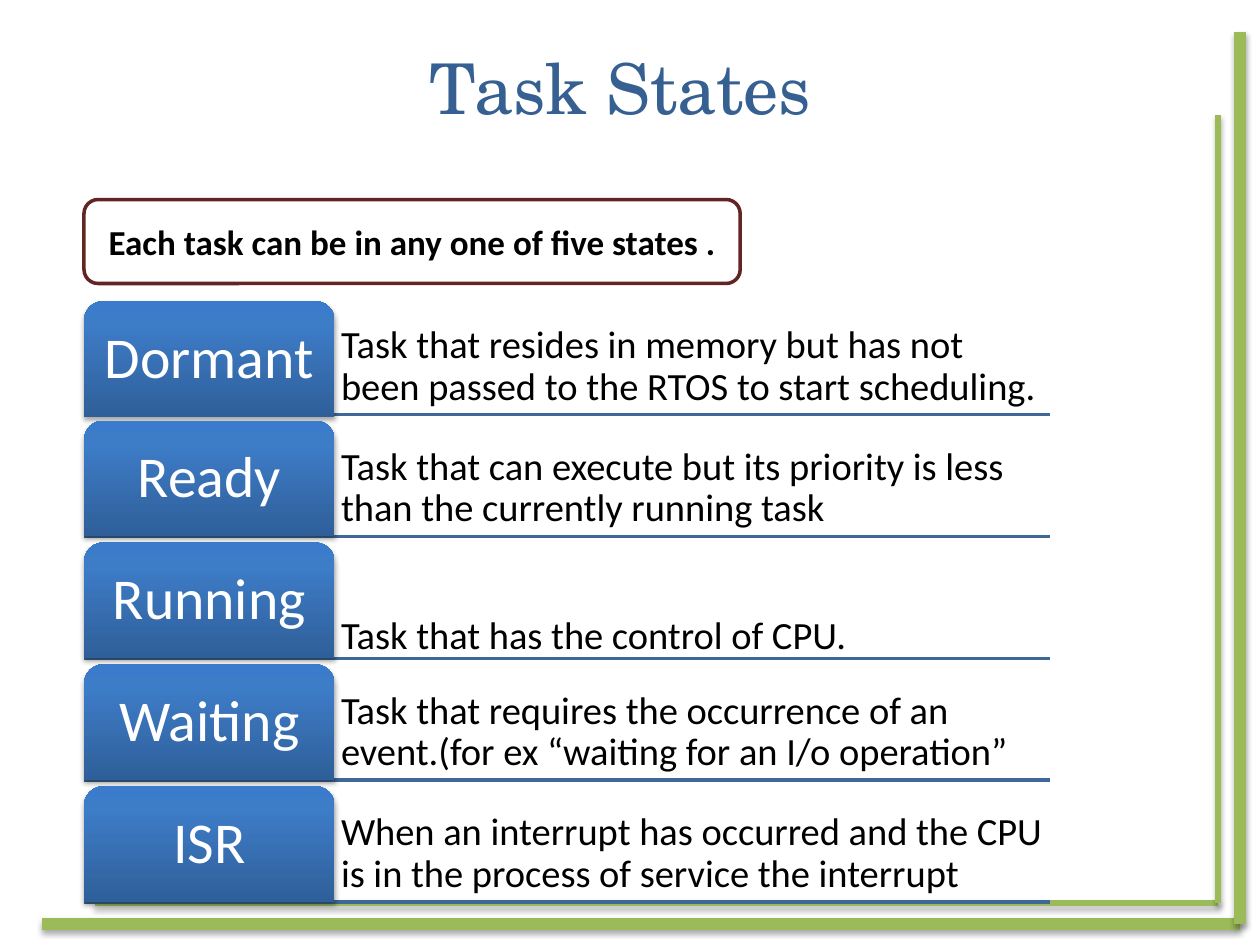
from dataclasses import dataclass

from lxml import etree
from pptx import Presentation
from pptx.dml.color import RGBColor
from pptx.enum.shapes import MSO_CONNECTOR, MSO_SHAPE
from pptx.enum.text import MSO_ANCHOR, PP_ALIGN
from pptx.oxml.ns import qn
from pptx.util import Pt

STRAIGHT = MSO_CONNECTOR.STRAIGHT
ROUNDED = MSO_SHAPE.ROUNDED_RECTANGLE
TOP_ROUNDED = MSO_SHAPE.ROUND_2_SAME_RECTANGLE
TOP, MIDDLE, BOTTOM = MSO_ANCHOR.TOP, MSO_ANCHOR.MIDDLE, MSO_ANCHOR.BOTTOM
LEFT, CENTER = PP_ALIGN.LEFT, PP_ALIGN.CENTER
TITLE_ONLY = 5


@dataclass(frozen=True)
class Theme:
    """Colours, fonts and type sizes of the slide."""
    title_font: str = "TeX Gyre Schola"
    body_font: str = "Calibri"
    title: str = "376092"
    ink: str = "000000"
    paper: str = "FFFFFF"
    frame: str = "9BBB59"
    intro_line: str = "632523"
    rule: str = "3F6797"
    tile: tuple = ((0, "2F5F99"), (80, "3D7CC7"), (100, "3A7CCB"))
    title_size: float = 40
    intro_size: float = 20
    name_size: float = 33
    detail_size: float = 22


THEME = Theme()

FRAME_LINES = [  # x1, y1, x2, y2, weight
    (54, 516, 696, 516, 3),
    (24, 528, 708.5, 528, 6.75),
    (708.5, 528, 708.5, 18, 6.75),
    (696, 516, 696, 66, 3),
]

STATES = [  # name, detail, tile nudge, detail nudge
    ("Dormant", "Task that resides in memory but has not been passed "
     "to the RTOS to start scheduling.", 1.4, 0),
    ("Ready", "Task that can execute but its priority is less than "
     "the currently running task ", 0, 0),
    ("Running", "Task that has the control of CPU.", 0, 3),
    ("Waiting", "Task that requires the occurrence of an event.(for ex "
     "“waiting for an I/o operation” ", 0, 0),
    ("ISR", "When an interrupt has occurred and the CPU is in the "
     "process of service the interrupt", 0, 0),
]
LIST_LEFT, LIST_TOP, LIST_RIGHT = 48, 170.7, 600
ROW_PITCH, ROW_HEIGHT, TILE_WIDTH = 69.65, 66.2, 143.3


def rgb(code):
    """Turn a hex code into a colour."""
    return RGBColor.from_string(code)


def set_effects(shape, shadow):
    """Give a shape a soft shadow below it, or none."""
    effects = etree.SubElement(shape.element.spPr, qn("a:effectLst"))
    if shadow:
        outer = etree.SubElement(
            effects, qn("a:outerShdw"), blurRad=str(Pt(3.1)),
            dist=str(Pt(1.8)), dir="5400000", rotWithShape="0")
        colour = etree.SubElement(outer, qn("a:srgbClr"), val=THEME.ink)
        etree.SubElement(colour, qn("a:alpha"), val="35000")


def set_gradient(shape, stops):
    """Fill a shape with a gradient that runs from bottom to top."""
    shape.fill.gradient()
    shape.fill.gradient_angle = 90
    stop_list = shape.element.spPr.find(qn("a:gradFill")).find(qn("a:gsLst"))
    for old in list(stop_list):
        stop_list.remove(old)
    for position, code in stops:
        stop = etree.SubElement(stop_list, qn("a:gs"), pos=str(position * 1000))
        etree.SubElement(stop, qn("a:srgbClr"), val=code)


def write(shape, text, size, colour, font=THEME.body_font, bold=False,
          align=CENTER, anchor=MIDDLE, spacing=None, margins=None):
    """Write one paragraph into a shape; margins are left, top, right, bottom."""
    frame = shape.text_frame
    frame.word_wrap = True
    frame.vertical_anchor = anchor
    if margins:
        (frame.margin_left, frame.margin_top,
         frame.margin_right, frame.margin_bottom) = map(Pt, margins)
    para = frame.paragraphs[0]
    para.alignment = align
    if spacing:
        para.line_spacing = spacing
    span = para.add_run()
    span.text = text
    span.font.name = font
    span.font.size = Pt(size)
    span.font.bold = bold
    span.font.color.rgb = rgb(colour)


def add_line(page, x1, y1, x2, y2, weight, colour, shadow=False):
    """Draw a straight line."""
    line = page.shapes.add_connector(STRAIGHT, Pt(x1), Pt(y1), Pt(x2), Pt(y2))
    line.line.color.rgb = rgb(colour)
    line.line.width = Pt(weight)
    set_effects(line, shadow)


def add_title(page, text):
    """Place and format the title."""
    title = page.shapes.title
    title.left, title.top, title.width, title.height = map(
        Pt, (36, 21.6, 648, 90))
    write(title, text, THEME.title_size, THEME.title, THEME.title_font,
          anchor=TOP)


def add_intro(page, text):
    """Add the outlined box above the list."""
    box = page.shapes.add_shape(ROUNDED, Pt(48), Pt(114), Pt(375), Pt(48))
    box.shadow.inherit = False
    box.fill.solid()
    box.fill.fore_color.rgb = rgb(THEME.paper)
    box.line.color.rgb = rgb(THEME.intro_line)
    box.line.width = Pt(2)
    write(box, text, THEME.intro_size, THEME.ink, bold=True)


def add_state(page, top, name, detail, tile_nudge, detail_nudge):
    """Add one state: its tile and its description."""
    detail_left = LIST_LEFT + TILE_WIDTH
    box = page.shapes.add_textbox(
        Pt(detail_left), Pt(top + detail_nudge),
        Pt(LIST_RIGHT - detail_left), Pt(ROW_HEIGHT))
    write(box, detail, THEME.detail_size, THEME.ink, align=LEFT,
          anchor=BOTTOM, spacing=0.9, margins=(3.6, 3.6, 3.6, 3.6))

    tile = page.shapes.add_shape(
        TOP_ROUNDED, Pt(LIST_LEFT), Pt(top + tile_nudge),
        Pt(TILE_WIDTH), Pt(ROW_HEIGHT))
    tile.adjustments[0] = 0.167
    tile.adjustments[1] = 0
    set_gradient(tile, THEME.tile)
    tile.line.fill.background()
    set_effects(tile, shadow=True)
    write(tile, name, THEME.name_size, THEME.paper, spacing=0.9,
          margins=(2, 2, 2, 5))


def main():
    """Build the slide and save it."""
    deck = Presentation()
    deck.slide_width, deck.slide_height = Pt(720), Pt(540)
    page = deck.slides.add_slide(deck.slide_layouts[TITLE_ONLY])

    for line in FRAME_LINES:
        add_line(page, *line, THEME.frame, shadow=True)
    add_title(page, "Task States ")
    add_intro(page, "Each task can be in any one of five states .")

    tops = [LIST_TOP + ROW_PITCH * row for row in range(len(STATES))]
    for top in tops:
        base = top + ROW_HEIGHT
        add_line(page, LIST_LEFT, base, LIST_RIGHT, base, 2, THEME.rule)
    for top, state in zip(tops, STATES):
        add_state(page, top, *state)

    deck.save("out.pptx")


main()
